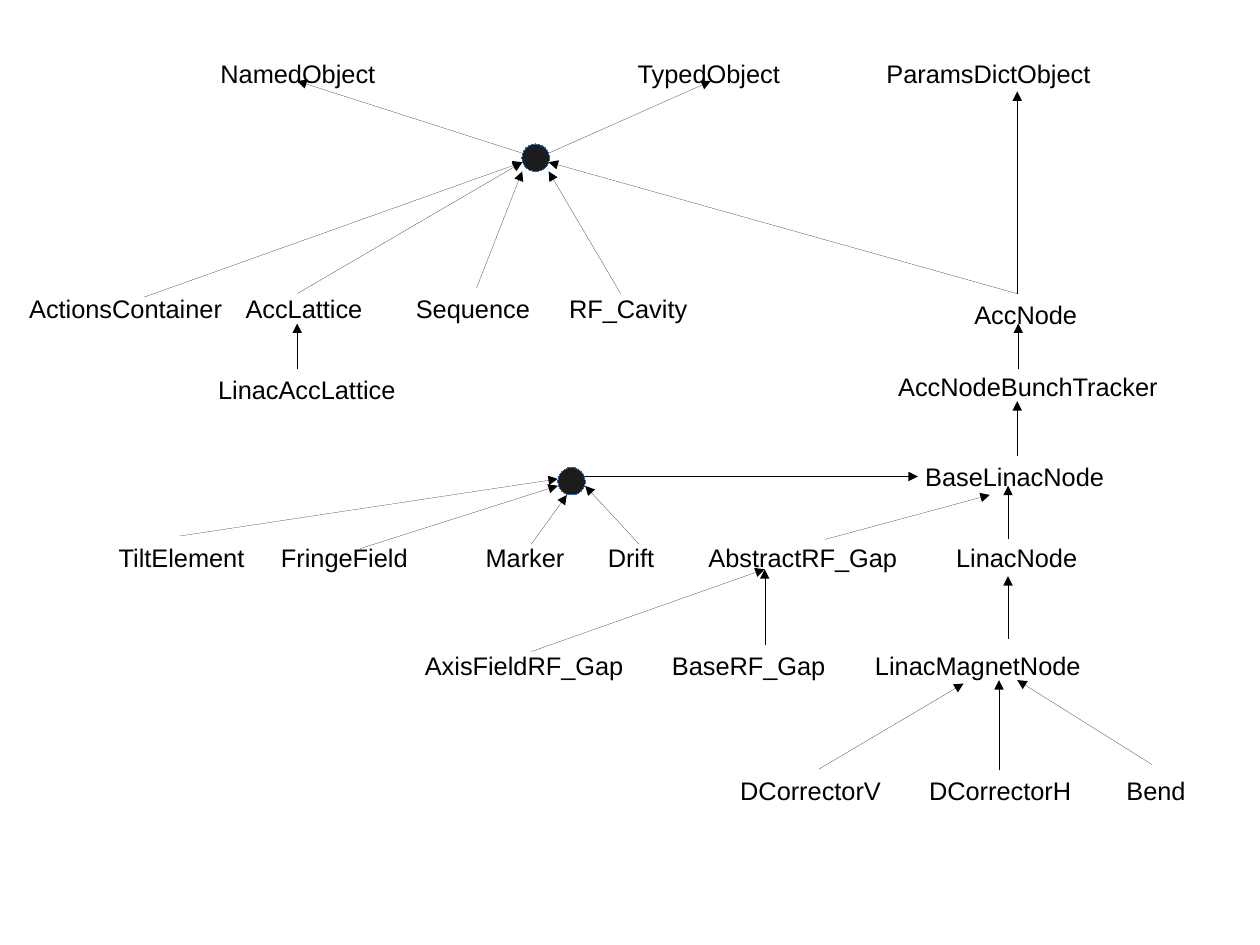
from lxml import etree
from pptx import Presentation
from pptx import util as u
from pptx.dml.color import RGBColor
from pptx.enum import shapes, text
from pptx.oxml import ns

BLACK = RGBColor(0x00, 0x00, 0x00)
DOT_FILL = RGBColor(0x1C, 0x1C, 0x1C)
DOT_LINE = RGBColor(0x34, 0x65, 0xA4)
TOP = 0  # connection site

# Class names by row: top -> (name, left, width)
LABEL_ROWS = {
    33.1: [("NamedObject", 131.8, 113), ("TypedObject", 394.6, 105),
           ("ParamsDictObject", 551.3, 144)],
    181.1: [("ActionsContainer", 11.3, 141.8), ("AccLattice", 147.6, 96.5),
            ("Sequence", 254.9, 96.5), ("RF_Cavity", 351.4, 96.5)],
    185: [("AccNode", 606.7, 79.2)],
    230: [("AccNodeBunchTracker", 558.7, 177.8)],
    232.2: [("LinacAccLattice", 130.3, 141.8)],
    286.9: [("BaseLinacNode", 575.7, 128.2)],
    337.7: [("TiltElement", 67.7, 94), ("FringeField", 169.9, 102.2),
            ("Marker", 298.8, 65), ("Drift", 375.8, 44.5),
            ("AbstractRF_Gap", 439.2, 133.2), ("LinacNode", 595.2, 90.7)],
    405.7: [("AxisFieldRF_Gap", 260.6, 141.8), ("BaseRF_Gap", 416.2, 111.8),
            ("LinacMagnetNode", 544.1, 153.4)],
    484.6: [("DCorrectorV", 459.2, 113), ("DCorrectorH", 578.2, 113),
            ("Bend", 702.5, 52.5)],
}

# Labels whose box is as wide as the text
FITTED = {"NamedObject", "TypedObject", "ParamsDictObject", "BaseLinacNode",
          "BaseRF_Gap", "Marker", "Drift"}

# Vertical inheritance arrows: (x, start y, end y)
VERTICAL_ARROWS = [
    (640.8, 185, 57.6), (641.5, 232.6, 203.8), (640.8, 287.3, 252.7),
    (635, 339.8, 306), (635, 402.5, 362.9), (629.3, 485.3, 428.4),
    (481.7, 406.1, 358.6), (187.2, 232.6, 203.8),
]

# Other inheritance arrows: (start x, start y, end x, end y)
ARROWS = [
    (725.8, 481.7, 640.8, 428.4), (519.8, 339.8, 623.5, 311.8),
    (334.8, 410.4, 481.7, 358.6),
    # Into and out of the lower junction
    (402.5, 342.7, 368.6, 306), (334.8, 342.7, 357.1, 311.8),
    (226.8, 345.6, 351.4, 306), (113, 337.7, 351.4, 301.7),
    (357.1, 300.2, 578.2, 300.2),
    # Into and out of the upper junction
    (640.8, 185, 345.6, 102.2), (300.2, 181.4, 329, 108),
    (391, 185, 345.6, 108), (187.2, 185, 329, 102.2),
    (90.7, 187.2, 329, 102.2), (329, 96.5, 187.2, 51.1),
    (345.6, 96.5, 447.8, 51.1),
]

# Arrows that leave the top middle of a label: name -> end point
LABEL_ARROWS = {"DCorrectorV": (607, 430.6)}

JUNCTIONS = [(328.8, 90.7), (351.4, 294.5)]


class ClassDiagram:
    font_name = "Arial"
    font_size = u.Pt(16)
    hairline = u.Pt(0.01)
    label_height = 25.5
    junction_size = 17.3

    def __init__(self, slide):
        self.slide = slide

    def label(self, name, left, top, width):
        box = self.slide.shapes.add_textbox(
            u.Pt(left), u.Pt(top), u.Pt(width), u.Pt(self.label_height))
        frame = box.text_frame
        frame.word_wrap = name not in FITTED
        frame.auto_size = text.MSO_AUTO_SIZE.SHAPE_TO_FIT_TEXT
        paragraph = frame.paragraphs[0]
        paragraph.text = name
        paragraph.font.name = self.font_name
        paragraph.font.size = self.font_size
        paragraph.font.color.rgb = BLACK
        return box

    def arrow(self, start_x, start_y, end_x, end_y):
        connector = self.slide.shapes.add_connector(
            shapes.MSO_CONNECTOR.STRAIGHT,
            u.Pt(start_x), u.Pt(start_y), u.Pt(end_x), u.Pt(end_y))
        connector.line.color.rgb = BLACK
        connector.line.width = self.hairline
        properties = connector._element.spPr
        line = properties.find(ns.qn("a:ln"))
        etree.SubElement(line, ns.qn("a:tailEnd"), type="triangle")
        etree.SubElement(properties, ns.qn("a:effectLst"))
        return connector

    def arrow_from(self, box, end_x, end_y):
        middle = (box.left + box.width / 2) / u.Pt(1)
        connector = self.arrow(middle, box.top / u.Pt(1), end_x, end_y)
        connector.begin_connect(box, TOP)

    def junction(self, left, top):
        size = u.Pt(self.junction_size)
        dot = self.slide.shapes.add_shape(
            shapes.MSO_SHAPE.OVAL, u.Pt(left), u.Pt(top), size, size)
        dot.shadow.inherit = False
        dot.fill.solid()
        dot.fill.fore_color.rgb = DOT_FILL
        dot.line.color.rgb = DOT_LINE
        dot.line.width = self.hairline


def main():
    presentation = Presentation()
    presentation.slide_width = u.Pt(793.7)
    presentation.slide_height = u.Pt(595.28)
    diagram = ClassDiagram(
        presentation.slides.add_slide(presentation.slide_layouts[6]))

    # Class names
    boxes = {}
    for top, row in LABEL_ROWS.items():
        for name, left, width in row:
            boxes[name] = diagram.label(name, left, top, width)

    # Inheritance arrows
    for x, start_y, end_y in VERTICAL_ARROWS:
        diagram.arrow(x, start_y, x, end_y)
    for ends in ARROWS:
        diagram.arrow(*ends)
    for name, end in LABEL_ARROWS.items():
        diagram.arrow_from(boxes[name], *end)

    # Junction dots
    for position in JUNCTIONS:
        diagram.junction(*position)

    presentation.save("out.pptx")


if __name__ == "__main__":
    main()
